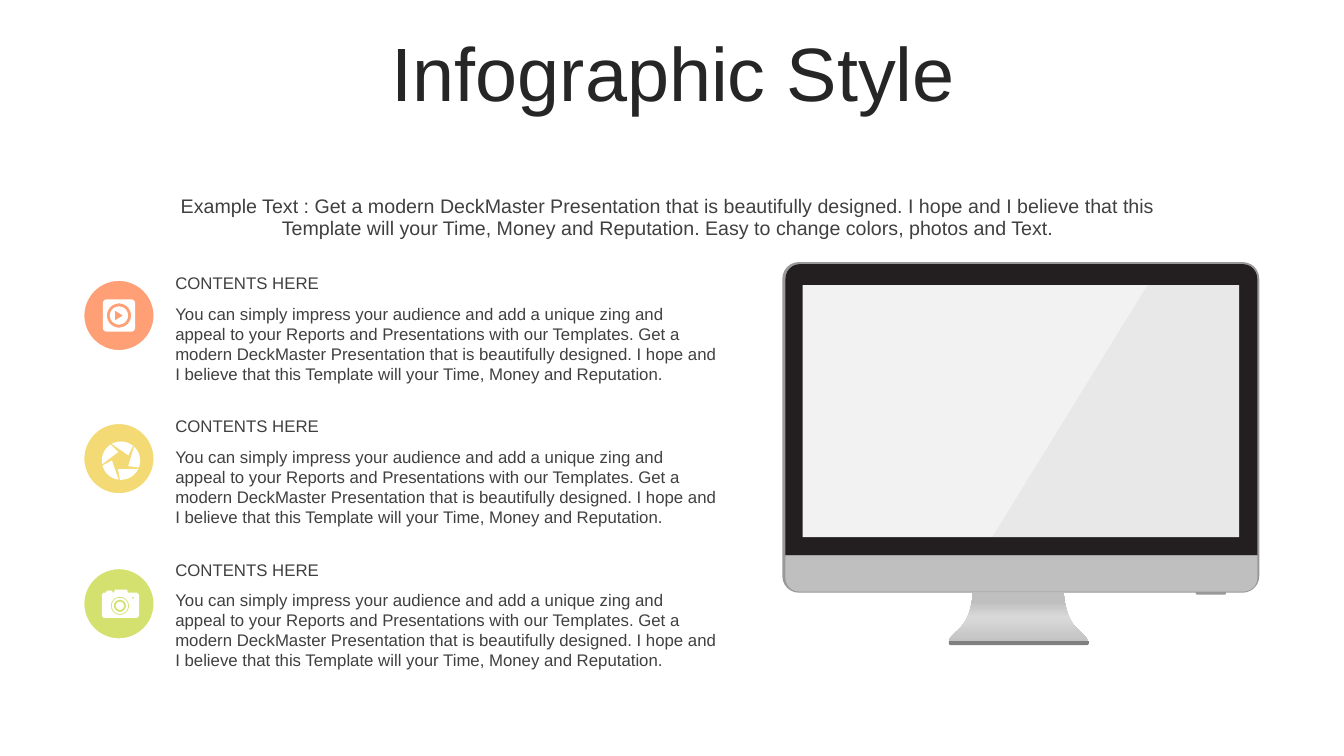
"""Build the Infographic Style slide: three icon topics beside a desktop monitor."""
import math
from dataclasses import dataclass
from typing import Optional

import lxml.etree
import pptx
import pptx.dml.color
import pptx.enum.shapes
import pptx.enum.text
import pptx.oxml
import pptx.oxml.ns
import pptx.util

Inches = pptx.util.Inches
Preset = pptx.enum.shapes.MSO_SHAPE
Align = pptx.enum.text.PP_ALIGN
Anchor = pptx.enum.text.MSO_ANCHOR
Point = tuple[float, float]
Contour = list[Point]

FONT = "Arial"
WHITE = "FFFFFF"
TEXT = "404040"
STAND_AXIS = 10.1
HEADING = "CONTENTS HERE"
PITCH = (
    "Get a modern DeckMaster Presentation that is beautifully designed. "
    "I hope and I believe that this Template will your Time, Money and Reputation."
)
DETAIL = (
    "You can simply impress your audience and add a unique zing and appeal "
    "to your Reports and Presentations with our Templates. " + PITCH
)
SUMMARY = f"Example Text : {PITCH} Easy to change colors, photos and Text."


@dataclass
class Part:
    preset: Preset
    box: tuple[float, float, float, float]
    color: str
    corners: tuple[float, ...] = ()


@dataclass
class Topic:
    badge_top: float
    heading_top: float
    color: str
    icon: list[Contour]


def rgb(color: str) -> pptx.dml.color.RGBColor:
    return pptx.dml.color.RGBColor.from_string(color)


def paint(shape, color: str, opacity: Optional[int] = None) -> None:
    shape.shadow.inherit = False
    shape.line.fill.background()
    shape.fill.solid()
    shape.fill.fore_color.rgb = rgb(color)
    if opacity is not None:
        tint = shape.element.spPr.find(".//" + pptx.oxml.ns.qn("a:srgbClr"))
        alpha = lxml.etree.SubElement(tint, pptx.oxml.ns.qn("a:alpha"))
        alpha.set("val", str(opacity * 1000))


def paint_gradient(shape, stops: list[tuple[int, str]], angle: int) -> None:
    paint(shape, stops[0][1])
    listed = "".join(
        f'<a:gs pos="{place * 1000}"><a:srgbClr val="{color}"/></a:gs>' for place, color in stops
    )
    gradient = pptx.oxml.parse_xml(
        f'<a:gradFill {pptx.oxml.ns.nsdecls("a")}><a:gsLst>{listed}</a:gsLst>'
        f'<a:lin ang="{angle * 60000}" scaled="0"/></a:gradFill>'
    )
    properties = shape.element.spPr
    properties.replace(properties.find(pptx.oxml.ns.qn("a:solidFill")), gradient)


def soften(shape, radius: float) -> None:
    effects = shape.element.spPr.find(pptx.oxml.ns.qn("a:effectLst"))
    edge = lxml.etree.SubElement(effects, pptx.oxml.ns.qn("a:softEdge"))
    edge.set("rad", str(pptx.util.Pt(radius)))


def arc(x: float, y: float, radius: float, start: float, end: float, steps: int = 12) -> Contour:
    angles = [math.radians(start + (end - start) * i / steps) for i in range(steps + 1)]
    return [(x + radius * math.cos(a), y + radius * math.sin(a)) for a in angles]


def circle(x: float, y: float, radius: float) -> Contour:
    return arc(x, y, radius, 0, 360, 36)


def rounded(left: float, top: float, width: float, height: float, radius: float) -> Contour:
    near_x, far_x = left + radius, left + width - radius
    near_y, far_y = top + radius, top + height - radius
    centers = [(far_x, far_y), (near_x, far_y), (near_x, near_y), (far_x, near_y)]
    return [p for i, (x, y) in enumerate(centers) for p in arc(x, y, radius, 90 * i, 90 * i + 90)]


def bezier(a: Point, b: Point, c: Point, d: Point, steps: int = 16) -> Contour:
    def blend(t: float, axis: int) -> float:
        u = 1 - t
        return (u**3 * a[axis] + 3 * u * u * t * b[axis]
                + 3 * u * t * t * c[axis] + t**3 * d[axis])

    return [(blend(i / steps, 0), blend(i / steps, 1)) for i in range(steps + 1)]


def add_outline(slide, contours: list[Contour]):
    scaled = [[(Inches(x), Inches(y)) for x, y in contour] for contour in contours]
    builder = slide.shapes.build_freeform(*scaled[0][0], scale=1.0)
    for contour in scaled:
        builder.move_to(*contour[0])
        builder.add_line_segments(contour[1:], close=True)
    return builder.convert_to_shape()


def add_part(slide, part: Part):
    shape = slide.shapes.add_shape(part.preset, *map(Inches, part.box))
    for index, corner in enumerate(part.corners):
        shape.adjustments[index] = corner
    paint(shape, part.color)
    return shape


def add_text(slide, box: tuple[float, float, float, float], words: str, size: int,
             color: str = TEXT, centered: bool = False) -> None:
    frame = slide.shapes.add_textbox(*map(Inches, box)).text_frame
    frame.word_wrap = True
    frame.text = words
    paragraph = frame.paragraphs[0]
    if centered:
        frame.vertical_anchor = Anchor.MIDDLE
        paragraph.alignment = Align.CENTER
        paragraph.line_spacing = 0.9
    font = paragraph.runs[0].font
    font.name, font.size, font.color.rgb = FONT, pptx.util.Pt(size), rgb(color)


def add_monitor(slide) -> None:
    shadow = add_part(slide, Part(Preset.OVAL, (7.55, 6.19, 4.85, 0.49), "808080"))
    soften(shadow, 25)
    left_edge = (bezier((9.65, 5.88), (9.65, 5.88), (9.64, 6.1), (9.54, 6.21))
                 + bezier((9.54, 6.21), (9.45, 6.31), (9.29, 6.4), (9.56, 6.4)))
    right_edge = [(2 * STAND_AXIS - x, y) for x, y in reversed(left_edge)]
    stand = add_outline(slide, [left_edge + right_edge])
    paint_gradient(stand, [(0, "BFBFBF"), (53, "D9D9D9"), (83, "BFBFBF"), (100, "BFBFBF")], 270)
    for part in (
        Part(Preset.ROUNDED_RECTANGLE, (7.76, 2.6, 4.73, 3.28), "999999", (0.05,)),
        Part(Preset.ROUND_2_SAME_RECTANGLE, (11.86, 5.87, 0.3, 0.03), "999999", (0, 0.5)),
        Part(Preset.ROUND_2_SAME_RECTANGLE, (7.79, 2.62, 4.68, 2.89), "231F20", (0.05, 0)),
        Part(Preset.ROUND_2_SAME_RECTANGLE, (9.41, 6.36, 1.39, 0.04), "808080", (0, 0.5)),
        Part(Preset.ROUND_2_SAME_RECTANGLE, (7.79, 5.51, 4.68, 0.36), "BFBFBF", (0, 0.38)),
        Part(Preset.RECTANGLE, (7.96, 2.83, 4.33, 2.5), "F2F2F2"),
    ):
        add_part(slide, part)
    glare = add_outline(slide, [[(11.38, 2.83), (12.29, 2.83), (12.29, 5.33), (9.84, 5.33)]])
    paint(glare, "999999", 10)


def player_icon() -> list[Contour]:
    return [rounded(1.02, 2.97, 0.32, 0.32, 0.04), circle(1.18, 3.13, 0.12),
            circle(1.18, 3.13, 0.09), [(1.14, 3.08), (1.22, 3.13), (1.14, 3.18)]]


def shutter_icon() -> list[Contour]:
    x, y = 1.2, 4.57
    turns = [143 + 72 * blade for blade in range(5)]
    return [arc(x, y, 0.19, turn - 46, turn + 22) + arc(x, y, 0.09, turn + 38, turn + 38, 1)
            for turn in turns]


def camera_icon() -> list[Contour]:
    body = [(1.14, 5.85), (1.26, 5.85), (1.27, 5.88), (1.36, 5.88), (1.38, 5.9), (1.38, 6.11),
            (1.36, 6.13), (1.03, 6.13), (1.01, 6.11), (1.01, 5.9), (1.03, 5.88), (1.05, 5.88),
            (1.06, 5.86), (1.11, 5.86), (1.12, 5.88), (1.13, 5.88)]
    lens = [circle(1.19, 6.01, radius) for radius in (0.09, 0.08, 0.06, 0.04)]
    return [body, circle(1.32, 5.93, 0.01), *lens]


def add_topic(slide, topic: Topic) -> None:
    badge = add_part(slide, Part(Preset.OVAL, (0.83, topic.badge_top, 0.7, 0.7), topic.color))
    paint(badge, topic.color, 80)
    badge.line.color.rgb = rgb(WHITE)
    badge.line.width = pptx.util.Pt(1)
    paint(add_outline(slide, topic.icon), WHITE)
    add_text(slide, (1.64, topic.heading_top, 5.59, 0.3), HEADING, 12)
    add_text(slide, (1.64, topic.heading_top + 0.3, 5.59, 0.91), DETAIL, 12)


def main() -> None:
    deck = pptx.Presentation()
    deck.slide_width, deck.slide_height = Inches(13.33), Inches(7.5)
    slide = deck.slides.add_slide(deck.slide_layouts[6])
    add_monitor(slide)
    add_text(slide, (0.35, 0.37, 12.66, 0.79), "Infographic Style", 54, "262626", True)
    add_text(slide, (1.3, 1.81, 10.65, 0.71), SUMMARY, 14, centered=True)
    for topic in (Topic(2.78, 2.66, "FF8853", player_icon()),
                  Topic(4.2, 4.08, "F0D152", shutter_icon()),
                  Topic(5.64, 5.5, "CADA4C", camera_icon())):
        add_topic(slide, topic)
    deck.save("out.pptx")


if __name__ == "__main__":
    main()
